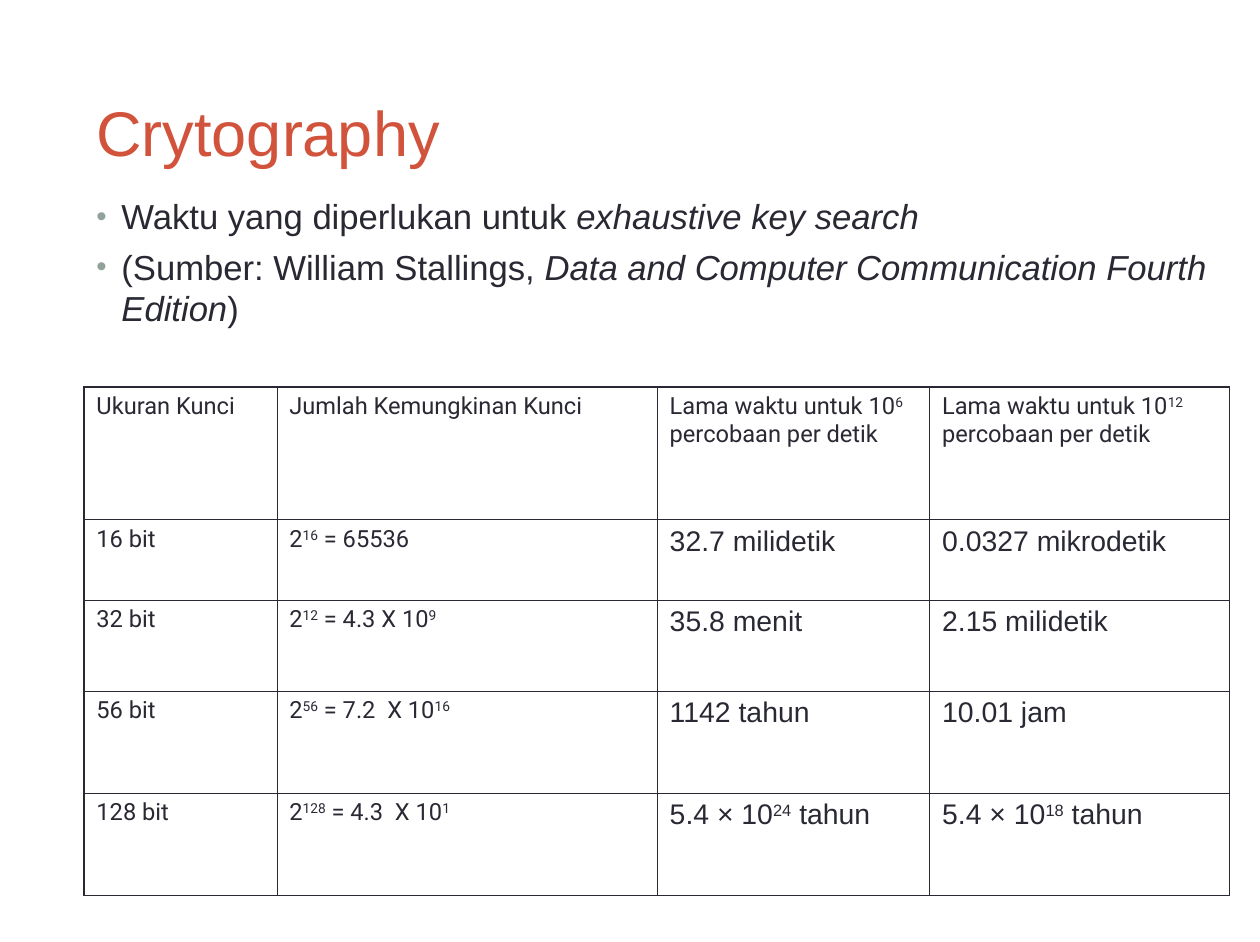
from dataclasses import dataclass

from lxml import etree
from pptx import Presentation
from pptx.dml.color import RGBColor
from pptx.enum.text import MSO_ANCHOR, MSO_AUTO_SIZE, PP_ALIGN
from pptx.oxml.ns import qn
from pptx.util import Inches, Pt

LEFT = PP_ALIGN.LEFT
TOP, MIDDLE = MSO_ANCHOR.TOP, MSO_ANCHOR.MIDDLE
NO_FIT = MSO_AUTO_SIZE.NONE
TITLE_ONLY = 5


@dataclass(frozen=True)
class Theme:
    accent: str = "D2533C"
    ink: str = "292934"
    bullet: str = "93A299"
    sans: str = "Arial"
    grid: str = "Roboto"
    title: int = 40
    body: int = 22
    value: int = 18
    label: int = 15
    thick: float = 1.08
    thin: float = 0.45


TITLE = "Crytography"
# Every second part between bars is styled: italic in points, raised in cells.
POINTS = [
    "Waktu yang diperlukan untuk |exhaustive key search",
    "(Sumber: William Stallings, |Data and Computer Communication Fourth Edition|)",
]
ROWS = [
    ["Ukuran Kunci", "Jumlah Kemungkinan Kunci",
     "Lama waktu untuk 10|6| percobaan per detik",
     "Lama waktu untuk 10|12| percobaan per detik"],
    ["16 bit", "2|16| = 65536", "32.7 milidetik", "0.0327 mikrodetik"],
    ["32 bit", "2|12| = 4.3 X 10|9", "35.8 menit", "2.15 milidetik"],
    ["56 bit", "2|56| = 7.2  X 10|16", "1142 tahun", "10.01 jam"],
    ["128 bit", "2|128| = 4.3  X 10|1", "5.4 × 10|24| tahun", "5.4 × 10|18| tahun"],
]
WIDTHS = [1.7, 3.35, 2.4, 2.64]
HEIGHTS = [1.17, 0.71, 0.8, 0.9, 0.9]


def apply(target, values):
    for name, value in values.items():
        setattr(target, name, value)


def add(parent, tag, **values):
    return etree.SubElement(parent, qn(tag), values)


class Deck:
    def __init__(self, theme, width, height):
        self.theme = theme
        self.file = Presentation()
        apply(self.file, {"slide_width": Inches(width), "slide_height": Inches(height)})
        self.slide = self.file.slides.add_slide(self.file.slide_layouts[TITLE_ONLY])

    def frame(self, frame, anchor):
        apply(frame, {
            "word_wrap": True, "auto_size": NO_FIT, "vertical_anchor": anchor,
            "margin_left": Inches(0.11), "margin_right": Inches(0.11),
            "margin_top": Inches(0.06), "margin_bottom": Inches(0.06)})

    def text(self, para, text, size, face, color, raised=False, before=0):
        apply(para, {"alignment": LEFT, "space_before": Pt(before)})
        for i, part in enumerate(text.split("|")):
            run = para.add_run()
            run.text = part
            marked = i % 2 == 1
            apply(run.font, {"size": Pt(size), "name": face, "bold": False,
                             "italic": marked and not raised})
            run.font.color.rgb = RGBColor.from_string(color)
            if marked and raised:
                run._r.get_or_add_rPr().set("baseline", "30000")

    def title(self, text, left, top, width, height):
        shape = self.slide.shapes.title
        apply(shape, {"left": Inches(left), "top": Inches(top),
                      "width": Inches(width), "height": Inches(height)})
        self.frame(shape.text_frame, MIDDLE)
        look = self.theme
        self.text(shape.text_frame.paragraphs[0], text, look.title, look.sans, look.accent)

    def bullets(self, points, left, top, width, height):
        box = self.slide.shapes.add_textbox(
            Inches(left), Inches(top), Inches(width), Inches(height))
        frame, look = box.text_frame, self.theme
        self.frame(frame, TOP)
        for i, text in enumerate(points):
            para = frame.add_paragraph() if i else frame.paragraphs[0]
            self.text(para, text, look.body, look.sans, look.ink, before=5.5)
            props = para._p.get_or_add_pPr()
            indent = Inches(0.22)
            props.set("marL", str(indent))
            props.set("indent", str(-indent))
            add(add(props, "a:buClr"), "a:srgbClr", val=look.bullet)
            add(props, "a:buSzPct", val="85000")
            add(props, "a:buFont", typeface=look.sans)
            add(props, "a:buChar", char="•")

    def border(self, cell, edges):
        """Draw the four sides; edges tells which lie on the table's outside."""
        look = self.theme
        props = cell._tc.get_or_add_tcPr()
        for side, outer in edges.items():
            size = Pt(look.thick if outer else look.thin)
            line = add(props, f"a:ln{side}", w=str(size))
            add(add(line, "a:solidFill"), "a:srgbClr", val=look.ink)

    def table(self, rows, widths, heights, left, top):
        look = self.theme
        table = self.slide.shapes.add_table(
            len(rows), len(widths), Inches(left), Inches(top),
            Inches(sum(widths)), Inches(sum(heights))).table
        apply(table, {"first_row": False, "horz_banding": False})
        for column, width in zip(table.columns, widths):
            column.width = Inches(width)
        for row, height in zip(table.rows, heights):
            row.height = Inches(height)
        for r, texts in enumerate(rows):
            for c, text in enumerate(texts):
                cell = table.cell(r, c)
                apply(cell, {
                    "vertical_anchor": TOP,
                    "margin_left": Inches(0.11), "margin_right": Inches(0.11),
                    "margin_top": Inches(0.05), "margin_bottom": Inches(0.05)})
                self.border(cell, {"L": c == 0, "R": c == len(widths) - 1,
                                   "T": r == 0, "B": r == len(rows) - 1})
                cell.fill.background()
                if r > 0 and c > 1:
                    size, face, before = look.value, look.sans, 4.5
                else:
                    size, face, before = look.label, look.grid, 3.7
                self.text(cell.text_frame.paragraphs[0], text, size, face,
                          look.ink, raised=True, before=before)


def main():
    deck = Deck(Theme(), 11.1, 8.3)
    deck.title(TITLE, 0.74, 0.83, 10.18, 0.65)
    deck.bullets(POINTS, 0.74, 1.66, 10.08, 1.38)
    deck.table(ROWS, WIDTHS, HEIGHTS, 0.74, 3.41)
    deck.file.save("out.pptx")


if __name__ == "__main__":
    main()
